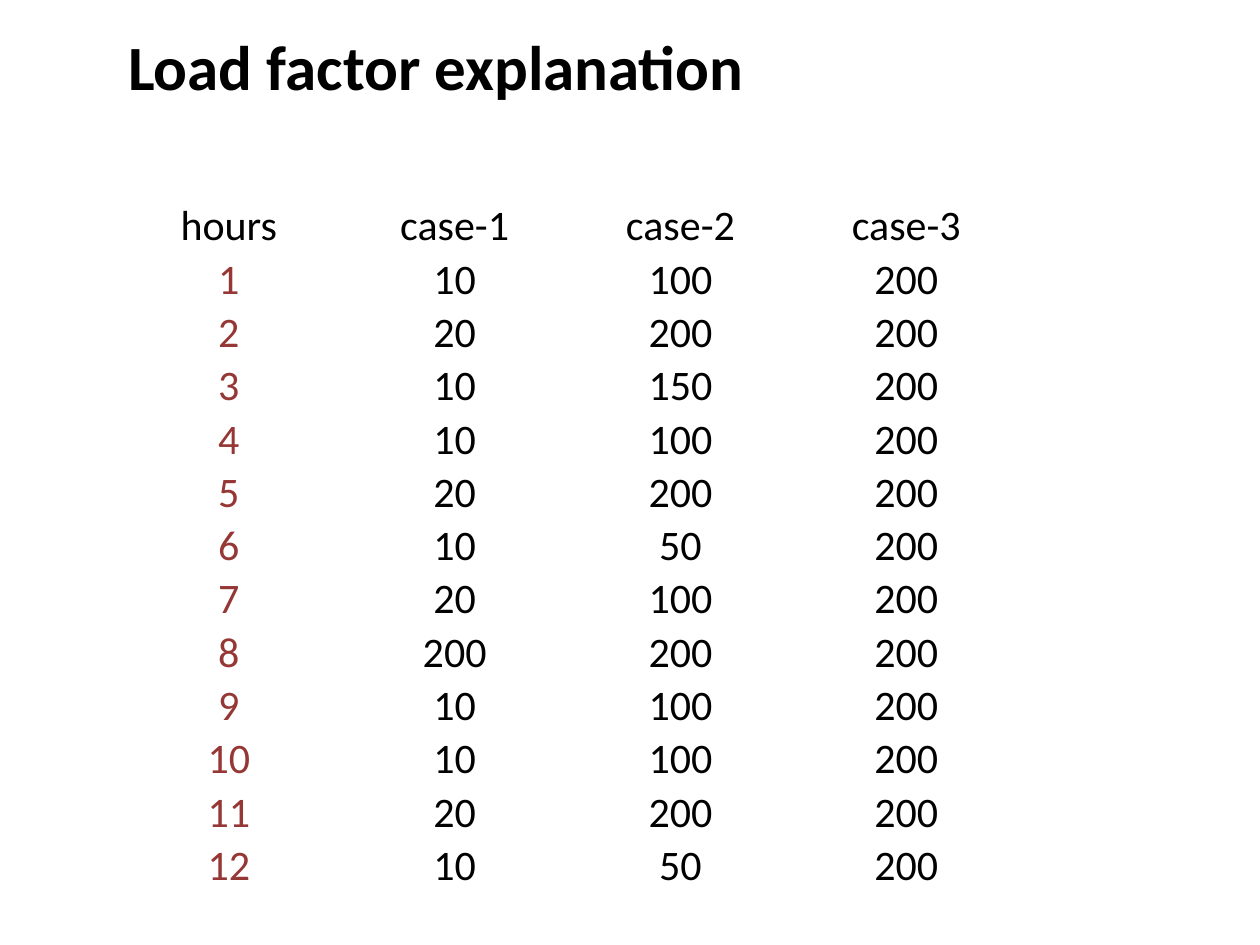
"""Build the load factor slide: a title above a table of hourly loads."""
import dataclasses

import pptx
import pptx.dml.color
import pptx.enum.text
import pptx.slide
import pptx.table
import pptx.text.text
import pptx.util

Inches = pptx.util.Inches
BLACK = pptx.dml.color.RGBColor(0x00, 0x00, 0x00)
RED = pptx.dml.color.RGBColor(0x95, 0x37, 0x35)
HEADS = ("hours", "case-1", "case-2", "case-3")
LEFT = 0.92
WIDTH = 7.17
HEIGHT = 5.5


@dataclasses.dataclass(frozen=True)
class Load:
    hour: int
    first: int
    second: int
    third: int = 200


LOADS = (
    Load(1, 10, 100),
    Load(2, 20, 200),
    Load(3, 10, 150),
    Load(4, 10, 100),
    Load(5, 20, 200),
    Load(6, 10, 50),
    Load(7, 20, 100),
    Load(8, 200, 200),
    Load(9, 10, 100),
    Load(10, 10, 100),
    Load(11, 20, 200),
    Load(12, 10, 50),
)


def write(
    para: pptx.text.text._Paragraph,
    text: str,
    size: int,
    color: pptx.dml.color.RGBColor = BLACK,
    bold: bool = False,
) -> None:
    para.text = text
    font = para.font
    font.name = "Calibri"
    font.size = pptx.util.Pt(size)
    font.bold = bold
    font.color.rgb = color


def draw_title(slide: pptx.slide.Slide) -> None:
    box = slide.shapes.add_textbox(
        Inches(LEFT), Inches(0.17), Inches(7.75), Inches(0.71)
    )
    frame = box.text_frame
    frame.word_wrap = True
    frame.auto_size = pptx.enum.text.MSO_AUTO_SIZE.SHAPE_TO_FIT_TEXT
    write(frame.paragraphs[0], "Load factor explanation", 36, bold=True)


def fill_cell(
    cell: pptx.table._Cell, text: str, color: pptx.dml.color.RGBColor
) -> None:
    cell.fill.background()
    cell.vertical_anchor = pptx.enum.text.MSO_ANCHOR.BOTTOM
    cell.margin_left = cell.margin_right = cell.margin_top = Inches(0.01)
    cell.margin_bottom = Inches(0)
    para = cell.text_frame.paragraphs[0]
    para.alignment = pptx.enum.text.PP_ALIGN.CENTER
    write(para, text, 24, color)


def draw_table(slide: pptx.slide.Slide) -> None:
    rows = [HEADS, *map(dataclasses.astuple, LOADS)]
    table = slide.shapes.add_table(
        len(rows), len(HEADS),
        Inches(LEFT), Inches(1.58), Inches(WIDTH), Inches(HEIGHT),
    ).table
    table.first_row = False
    table.horz_banding = False
    for r, row in enumerate(rows):
        for c, value in enumerate(row):
            color = RED if r and not c else BLACK
            fill_cell(table.cell(r, c), str(value), color)


def main() -> None:
    deck = pptx.Presentation()
    deck.slide_width = Inches(10)
    deck.slide_height = Inches(7.5)
    slide = deck.slides.add_slide(deck.slide_layouts[6])
    draw_title(slide)
    draw_table(slide)
    deck.save("out.pptx")


if __name__ == "__main__":
    main()
